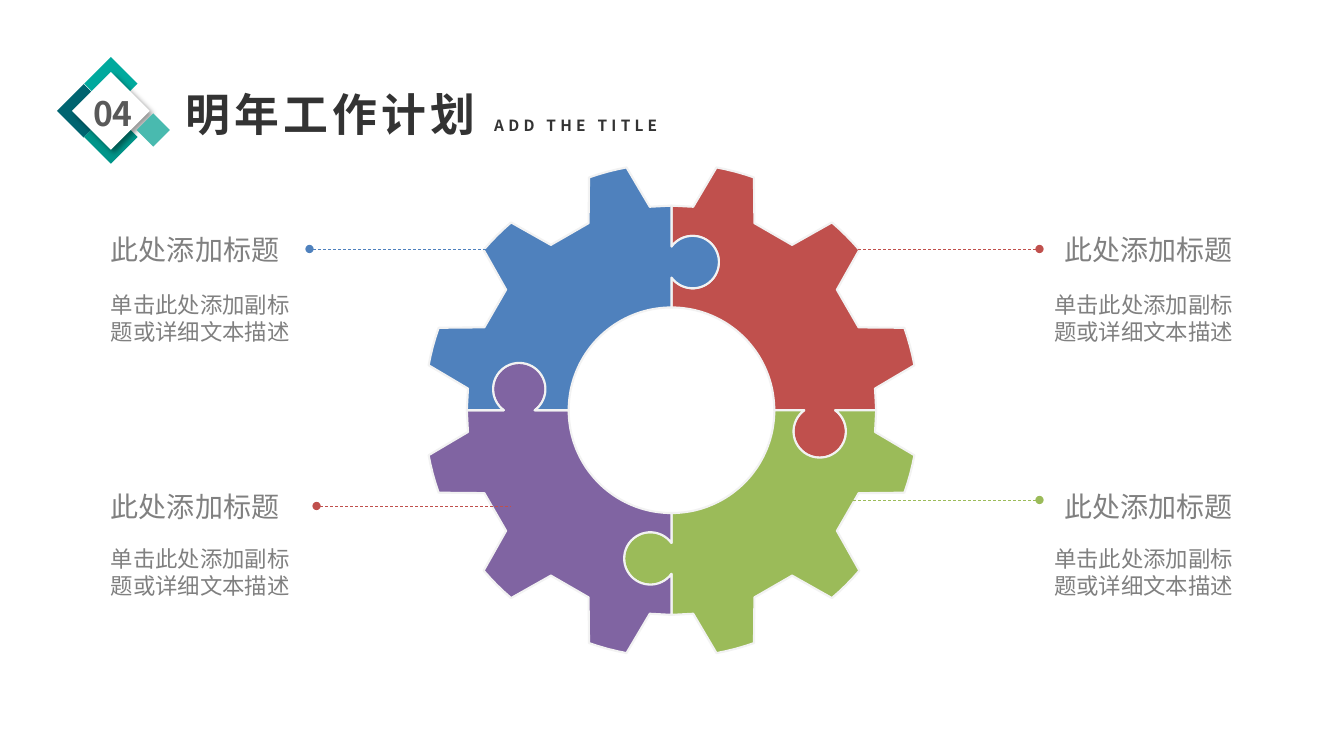
from dataclasses import dataclass
from math import acos, cos, degrees, radians, sin

from lxml import etree
from pptx import Presentation
from pptx.dml.color import RGBColor
from pptx.enum.dml import MSO_LINE
from pptx.enum.shapes import MSO_CONNECTOR, MSO_SHAPE
from pptx.enum.text import PP_ALIGN as Align
from pptx.oxml.ns import qn
from pptx.util import Inches, Pt

Point = tuple[float, float]
HEADING_FONT, BODY_FONT = "Noto Sans CJK SC", "Calibri"
BLUE, RED, GREEN, PURPLE = "4F81BD", "C0504D", "9BBB59", "8064A2"

# Gear geometry in inches and degrees
CENTER: Point = (6.66, 4.07)
BORE, ROOT, TIP = 1.02, 2.03, 2.45
TIP_HALF, ROOT_HALF = 4.5, 8.9
KNOB_RADIUS, KNOB_OFFSET = 0.26, 0.21
KNOB_DISTANCES = [1.47, 1.47, 1.47, 1.51]  # top, right, bottom, left


@dataclass
class Diamond:
    center: Point
    size: float
    color: str
    shadow: bool = False


@dataclass
class Callout:
    left: float
    width: float
    title_top: float
    body_top: float
    align: Align
    line_start: float
    line_end: float
    line_y: float
    color: str


DIAMONDS = [
    Diamond((0.83, 1.1), 0.53, "006470"),
    Diamond((1.1, 0.83), 0.53, "00A99D"),
    Diamond((1.1, 1.36), 0.53, "009589"),
    Diamond((1.1, 1.1), 0.77, "FFFFFF", shadow=True),
    Diamond((1.52, 1.29), 0.33, "49BAAF"),
]
CALLOUTS = [
    Callout(1.1, 1.97, 2.31, 2.89, Align.LEFT, 3.07, 5.16, 2.47, BLUE),
    Callout(1.1, 1.97, 4.86, 5.41, Align.LEFT, 3.14, 5.07, 5.02, RED),
    Callout(10.31, 1.92, 2.31, 2.89, Align.RIGHT, 10.31, 8.18, 2.47, RED),
    Callout(10.31, 1.92, 4.86, 5.41, Align.RIGHT, 10.31, 8.18, 4.96, GREEN),
]


def rgb(color: str) -> RGBColor:
    return RGBColor.from_string(color)


def polar(center: Point, radius: float, angle: float) -> Point:
    """Angles run clockwise, with zero to the right."""
    turn = radians(angle)
    return center[0] + radius * cos(turn), center[1] + radius * sin(turn)


def arc(center: Point, radius: float, start: float, end: float, steps: int = 40) -> list[Point]:
    return [polar(center, radius, start + (end - start) * step / steps) for step in range(steps + 1)]


def seam(index: int) -> list[Point]:
    """Joint between two quarters, from the bore to the rim, with its knob."""
    facing = 90 * index
    outward = facing - 90
    knob = polar(polar(CENTER, KNOB_DISTANCES[index], outward), KNOB_OFFSET, facing)
    sweep = 180 - degrees(acos(KNOB_OFFSET / KNOB_RADIUS))
    return [
        polar(CENTER, BORE, outward),
        *arc(knob, KNOB_RADIUS, facing + sweep, facing - sweep),
        polar(CENTER, ROOT, outward),
    ]


def teeth(start: float) -> list[Point]:
    points = []
    for middle in (start + 15, start + 45, start + 75):
        points.append(polar(CENTER, ROOT, middle - ROOT_HALF))
        points += arc(CENTER, TIP, middle - TIP_HALF, middle + TIP_HALF, 4)
        points.append(polar(CENTER, ROOT, middle + ROOT_HALF))
    return points


def add_quarter(slide, index: int, color: str) -> None:
    """Quarter that runs clockwise from the seam of the same index."""
    start = 90 * index - 90
    outline = (seam(index) + teeth(start) + seam((index + 1) % 4)[::-1]
               + arc(CENTER, BORE, start + 90, start))
    points = [(Inches(x), Inches(y)) for x, y in outline]
    builder = slide.shapes.build_freeform(*points[0], scale=1.0)
    builder.add_line_segments(points[1:], close=True)
    shape = builder.convert_to_shape()
    shape.shadow.inherit = False
    shape.fill.solid()
    shape.fill.fore_color.rgb = rgb(color)
    shape.line.color.rgb = rgb("F2F2F2")
    shape.line.width = Pt(1.5)


def add_diamond(slide, diamond: Diamond) -> None:
    x, y = (middle - diamond.size / 2 for middle in diamond.center)
    shape = slide.shapes.add_shape(
        MSO_SHAPE.DIAMOND, Inches(x), Inches(y), Inches(diamond.size), Inches(diamond.size))
    shape.shadow.inherit = False
    shape.fill.solid()
    shape.fill.fore_color.rgb = rgb(diamond.color)
    shape.line.fill.background()
    if diamond.shadow:
        effects = shape._element.spPr.find(qn("a:effectLst"))
        shadow = etree.SubElement(effects, qn("a:outerShdw"), blurRad=str(Pt(4)),
                                  dist=str(Pt(3)), dir=str(45 * 60000))
        shade = etree.SubElement(shadow, qn("a:srgbClr"), val="000000")
        etree.SubElement(shade, qn("a:alpha"), val="40000")


def add_text(slide, box: tuple[float, float, float, float], text: str, size: float, font: str,
             color: str, align: Align = Align.LEFT, bold: bool = False, inset: bool = False):
    shape = slide.shapes.add_textbox(*map(Inches, box))
    frame = shape.text_frame
    frame.word_wrap = True
    if not inset:
        frame.margin_left = frame.margin_right = frame.margin_top = frame.margin_bottom = 0
    frame.text = text
    paragraph = frame.paragraphs[0]
    paragraph.alignment = align
    style_run(paragraph.runs[0], size, font, color, bold)
    return paragraph


def style_run(run, size: float, font: str, color: str, bold: bool) -> None:
    run.font.size = Pt(size)
    run.font.name = font
    run.font.bold = bold
    run.font.color.rgb = rgb(color)
    etree.SubElement(run.font._element, qn("a:ea"), typeface=font)


def add_leader(slide, callout: Callout) -> None:
    y = Inches(callout.line_y)
    line = slide.shapes.add_connector(
        MSO_CONNECTOR.STRAIGHT, Inches(callout.line_start), y, Inches(callout.line_end), y)
    line.line.color.rgb = rgb(callout.color)
    line.line.width = Pt(0.5)
    line.line.dash_style = MSO_LINE.DASH
    properties = line._element.spPr
    etree.SubElement(properties.find(qn("a:ln")), qn("a:headEnd"), type="oval")
    etree.SubElement(properties, qn("a:effectLst"))


def main() -> None:
    presentation = Presentation()
    presentation.slide_width, presentation.slide_height = Inches(13.33), Inches(7.5)
    slide = presentation.slides.add_slide(presentation.slide_layouts[6])

    # Heading
    for diamond in DIAMONDS:
        add_diamond(slide, diamond)
    add_text(slide, (0.75, 0.87, 0.74, 0.38), "04", 24, HEADING_FONT, "595959",
             Align.CENTER, bold=True, inset=True)
    heading = add_text(slide, (1.74, 0.81, 5.18, 0.64), "明年工作计划 ", 32, HEADING_FONT,
                       "333333", bold=True, inset=True)
    subtitle = heading.add_run()
    subtitle.text = "ADD THE TITLE"
    style_run(subtitle, 11, HEADING_FONT, "333333", True)
    for run in heading.runs:
        run.font._element.set("spc", "300")

    # Gear
    for index, color in enumerate([RED, GREEN, PURPLE, BLUE]):
        add_quarter(slide, index, color)

    # Callouts
    for callout in CALLOUTS:
        add_text(slide, (callout.left, callout.title_top, callout.width, 0.34),
                 "此处添加标题", 20, BODY_FONT, "808080", callout.align)
        add_text(slide, (callout.left, callout.body_top, callout.width, 0.54),
                 "单击此处添加副标题或详细文本描述", 16, BODY_FONT, "808080", callout.align)
        add_leader(slide, callout)

    presentation.save("out.pptx")


if __name__ == "__main__":
    main()
